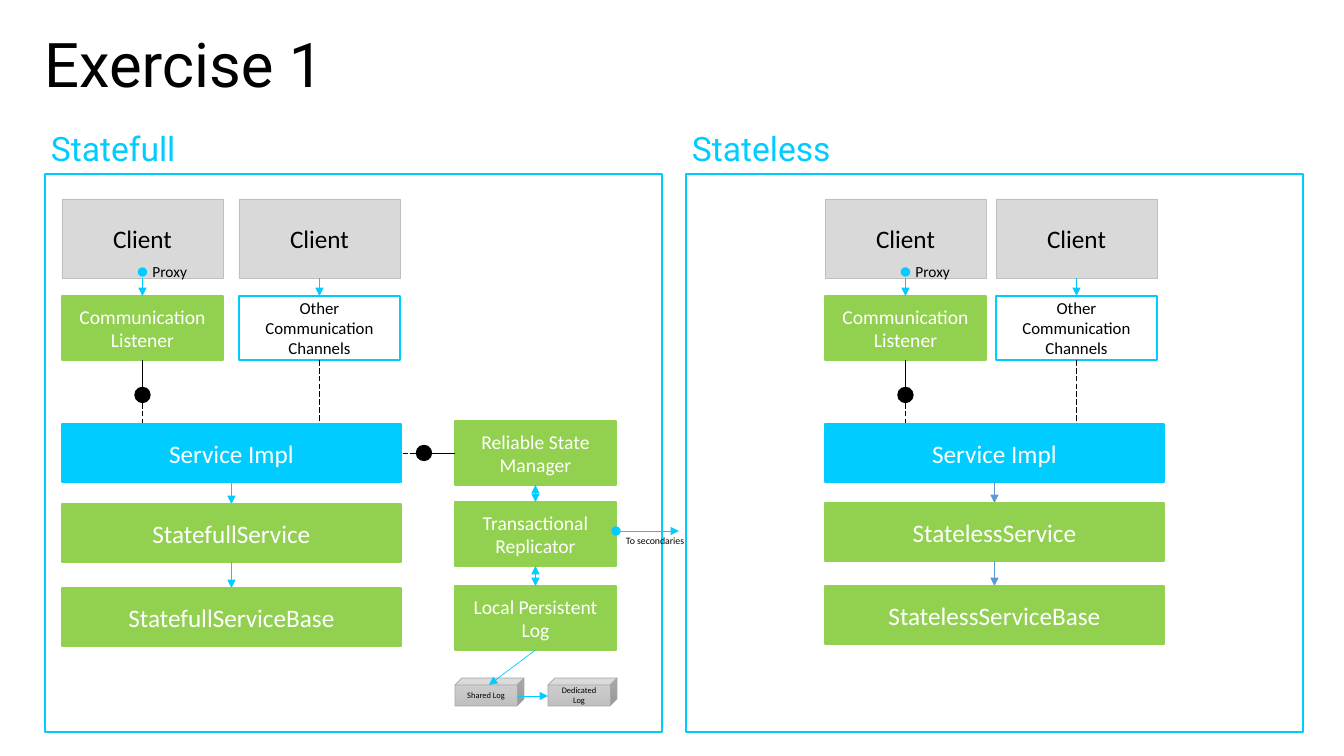
from collections import namedtuple

from lxml.etree import SubElement
from pptx import Presentation
from pptx.dml.color import RGBColor
from pptx.enum.dml import MSO_LINE
from pptx.enum.shapes import MSO_CONNECTOR, MSO_SHAPE
from pptx.enum.text import MSO_ANCHOR, MSO_AUTO_SIZE, PP_ALIGN
from pptx.oxml.ns import qn
from pptx.util import Emu, Pt

SCALE = 914400 / 100.8
CYAN, GREEN, BLUE = "00CCFF", "92D050", "5B9BD5"
BLACK, WHITE, GREY, GREY_EDGE = "000000", "FFFFFF", "D9D9D9", "BFBFBF"
NODE_WIDTH, CLIENT_HEIGHT, NODE_HEIGHT = 161, 79, 64
SERVICE_WIDTH, SERVICE_HEIGHT = 339, 58

Box = namedtuple("Box", "left top width height")


def px(length):
    """Turn pixels into EMU."""
    return Emu(round(length * SCALE))


def color(hex_text):
    """Turn a hex string into a colour."""
    return RGBColor.from_string(hex_text)


def write(frame, text, size, ink=BLACK, font="Calibri", align=PP_ALIGN.LEFT,
          anchor=MSO_ANCHOR.TOP, wrap=True):
    """Put one formatted paragraph into a text frame."""
    frame.word_wrap = wrap
    frame.auto_size = MSO_AUTO_SIZE.NONE
    frame.vertical_anchor = anchor
    para = frame.paragraphs[0]
    para.alignment = align
    span = para.add_run()
    span.text = text
    span.font.size = Pt(size)
    span.font.name = font
    span.font.color.rgb = color(ink)


def add_label(slide, box, text, size, **style):
    """Add a text box."""
    label = slide.shapes.add_textbox(*map(px, box))
    write(label.text_frame, text, size, **style)


def add_node(slide, box, text="", size=18, ink=WHITE, fill=GREEN, edge=None,
             weight=1, kind=MSO_SHAPE.RECTANGLE):
    """Add a filled shape with centred text."""
    node = slide.shapes.add_shape(kind, *map(px, box))
    node.shadow.inherit = False
    node.fill.solid()
    node.fill.fore_color.rgb = color(fill)
    node.line.color.rgb = color(edge or fill)
    node.line.width = Pt(weight)
    if text:
        write(node.text_frame, text, size, ink, align=PP_ALIGN.CENTER,
              anchor=MSO_ANCHOR.MIDDLE)
    return node


def add_dot(slide, x, y, size, fill):
    """Add a round dot centred on a point."""
    box = Box(x - size / 2, y - size / 2, size, size)
    add_node(slide, box, fill=fill, kind=MSO_SHAPE.OVAL)


def add_line(slide, start, end, ink=CYAN, dashed=False, ends=("tailEnd",)):
    """Add a thin line with triangles at the named ends."""
    line = slide.shapes.add_connector(
        MSO_CONNECTOR.STRAIGHT, *map(px, start + end))
    line.line.color.rgb = color(ink)
    line.line.width = Pt(0.5)
    if dashed:
        line.line.dash_style = MSO_LINE.LONG_DASH
    outline = line.line._get_or_add_ln()
    for name in ends:
        SubElement(outline, qn("a:" + name), type="triangle")
    SubElement(line._element.spPr, qn("a:effectLst"))


def add_panel(slide, box, heading):
    """Draw the outlined panel and the heading above it."""
    add_label(slide, Box(box.left - 4, box.top - 51, 300, 50), heading, 24,
              ink=CYAN, font="Roboto")
    add_node(slide, box, fill=WHITE, edge=CYAN)


def add_client(slide, box, text, size, **style):
    """Draw a client, its channel below and the arrow between them."""
    left, top = box.left, box.top
    middle = left + NODE_WIDTH / 2
    add_node(slide, Box(left, top, NODE_WIDTH, CLIENT_HEIGHT), "Client",
             ink=BLACK, fill=GREY, edge=GREY_EDGE, weight=0.5)
    add_node(slide, Box(left, top + 97, NODE_WIDTH, NODE_HEIGHT), text, size,
             **style)
    add_line(slide, (middle, top + CLIENT_HEIGHT), (middle, top + 97))
    return middle


def add_stack(slide, box, name, second_client, rows, arrow):
    """Draw clients, channels and the chain of service classes."""
    left, top = box.left, box.top
    service_top = top + 225

    middle = add_client(slide, box, "Communication Listener", 14)
    dot_y = top + 196
    add_line(slide, (middle, top + 161), (middle, dot_y), BLACK, ends=())
    add_line(slide, (middle, dot_y), (middle, service_top), BLACK, True, ())
    add_dot(slide, middle, dot_y, 15, BLACK)
    add_dot(slide, middle, top + 73, 8, CYAN)
    add_label(slide, Box(middle, top + 58, 55, 29), "Proxy", 11, wrap=False)

    other = box._replace(left=left + second_client)
    middle = add_client(slide, other, "Other Communication Channels", 12,
                        ink=BLACK, fill=WHITE, edge=CYAN)
    add_line(slide, (middle, top + 161), (middle, service_top), BLACK, True, ())

    add_node(slide, Box(left, service_top, SERVICE_WIDTH, SERVICE_HEIGHT),
             "Service Impl", fill=CYAN)
    center = left + SERVICE_WIDTH / 2
    bottom = service_top + SERVICE_HEIGHT
    for offset, suffix in zip(rows, ("Service", "ServiceBase")):
        add_line(slide, (center, bottom), (center, top + offset), arrow)
        row = Box(left, top + offset, SERVICE_WIDTH, SERVICE_HEIGHT)
        add_node(slide, row, name + suffix)
        bottom = row.top + row.height


def add_state_column(slide, box):
    """Draw the state manager, replicator and logs with their links."""
    left, top = box.left, box.top
    center, right = left + box.width / 2, left + box.width
    both = ("headEnd", "tailEnd")
    names = ("Reliable State Manager", "Transactional Replicator",
             "Local Persistent Log")
    bottom = None
    for offset, name in zip((0, 81, 165), names):
        row = Box(left, top + offset, box.width, NODE_HEIGHT)
        add_node(slide, row, name, 14)
        if bottom:
            add_line(slide, (center, bottom), (center, row.top), ends=both)
        bottom = row.top + row.height

    link_y, dot_x = top + 32, left - 31
    add_line(slide, (left, link_y), (dot_x, link_y), BLACK, ends=())
    add_line(slide, (dot_x, link_y), (left - 54, link_y), BLACK, True, ())
    add_dot(slide, dot_x, link_y, 15, BLACK)

    exit_y = top + 110
    add_line(slide, (right, exit_y), (right + 63, exit_y))
    add_dot(slide, right, exit_y, 8, CYAN)
    add_label(slide, Box(right, exit_y - 1, 81, 22), "To secondaries", 7,
              wrap=False)

    log_top = top + 257
    for offset, name in ((0, "Shared Log"), (93, "Dedicated Log")):
        cube = add_node(slide, Box(left + offset, log_top, 69, 28), name, 6,
                        BLACK, edge="A5A5A5", weight=0.5, kind=MSO_SHAPE.CUBE)
        cube.fill.gradient()
        cube.fill.gradient_angle = 270
        for stop, shade in zip(cube.fill.gradient_stops, ("D2D2D2", "C0C0C0")):
            stop.color.rgb = color(shade)
    add_line(slide, (center, bottom), (left + 34, log_top + 7))
    add_line(slide, (left + 62, log_top + 18), (left + 93, log_top + 18))


def add_title(slide, box, text):
    """Place and format the title placeholder."""
    title = slide.shapes.title
    title.left, title.top, title.width, title.height = map(px, box)
    write(title.text_frame, text, 44, font="Roboto")


def build_exercise(deck):
    """Build the slide that compares the two kinds of service."""
    slide = deck.slides.add_slide(deck.slide_layouts[5])
    add_title(slide, Box(34, 21, 1247, 85), "Exercise 1")
    stateful = Box(45, 174, 617, 558)
    stateless = stateful._replace(left=686)
    add_panel(slide, stateful, "Statefull")
    add_panel(slide, stateless, "Stateless")
    add_stack(slide, Box(62, 199, SERVICE_WIDTH, 447), "Statefull", 177,
              (305, 389), CYAN)
    add_stack(slide, Box(825, 199, SERVICE_WIDTH, 446), "Stateless", 171,
              (304, 387), BLUE)
    add_state_column(slide, Box(455, 421, NODE_WIDTH, 285))


deck = Presentation()
deck.slide_width, deck.slide_height = px(1344), px(756)
build_exercise(deck)
deck.save("out.pptx")
